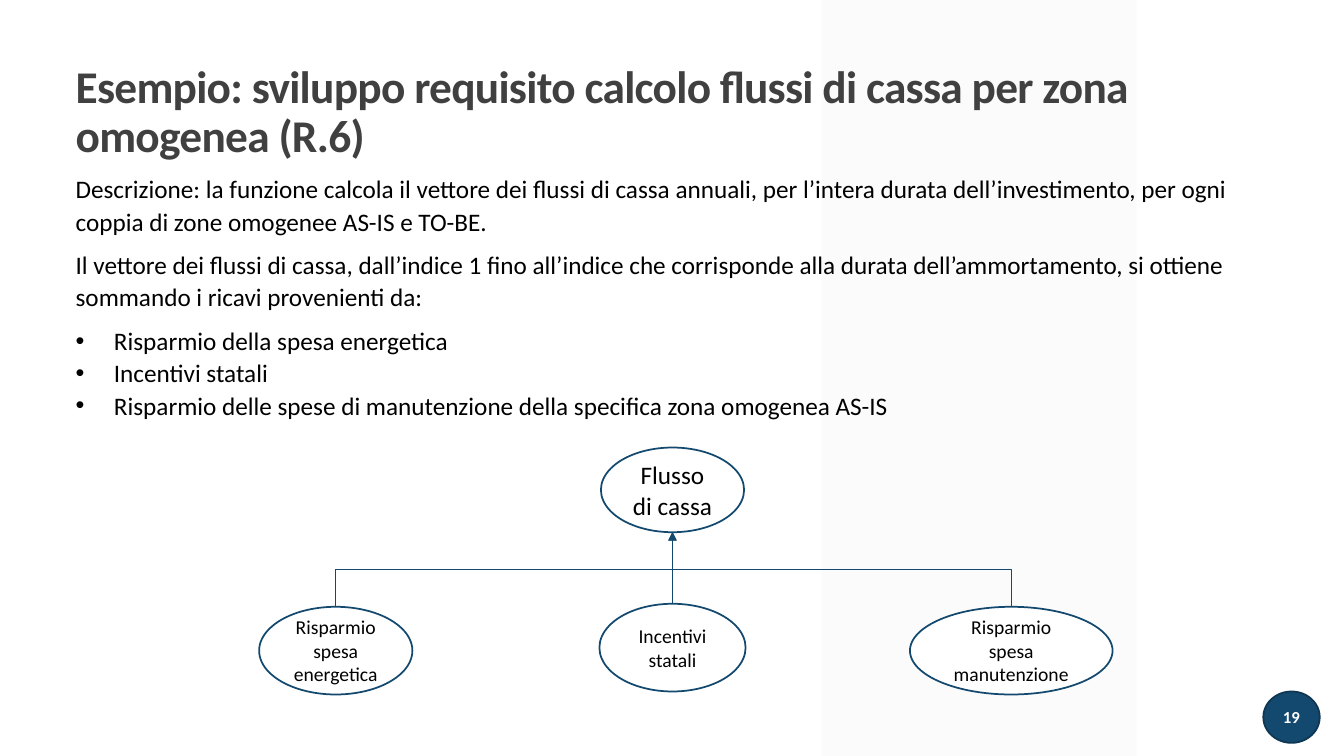
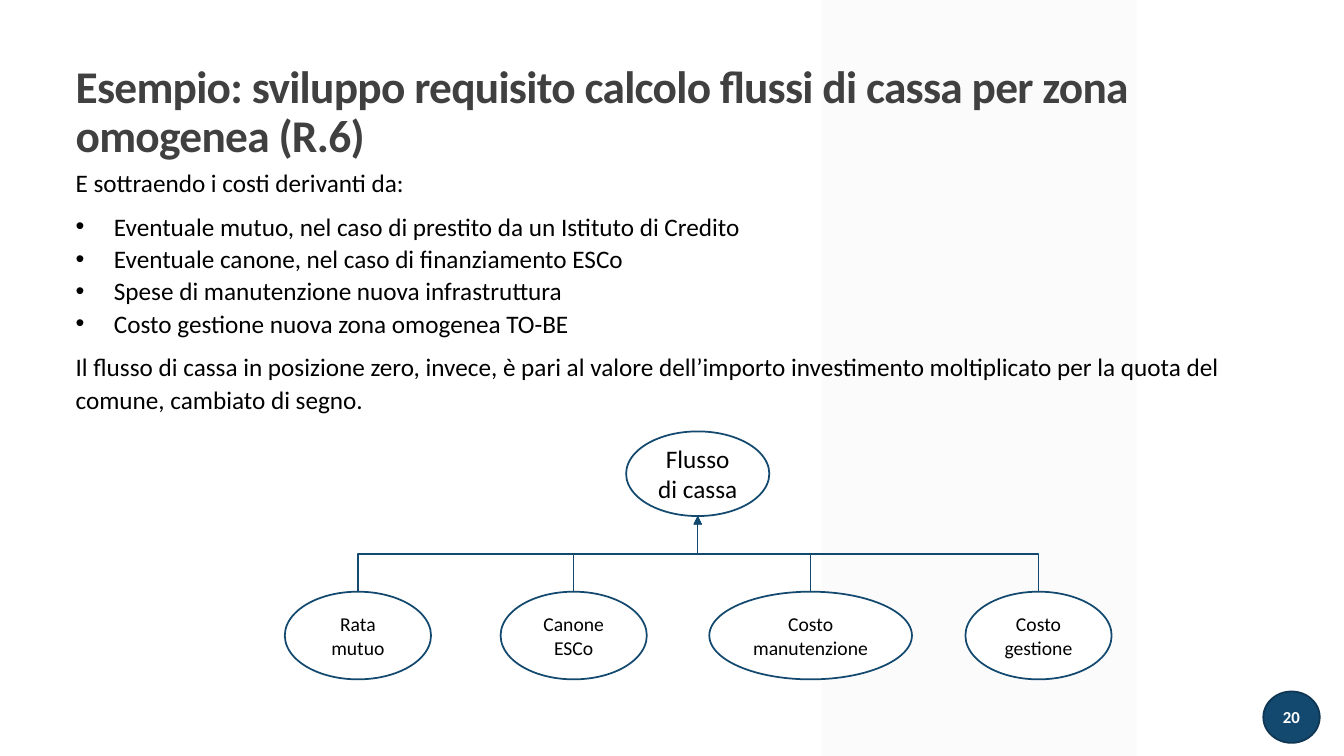
import pptx
import pptx.util
import pptx.dml.color
import pptx.enum.shapes
import pptx.enum.text
import pptx.oxml
import pptx.oxml.ns

Inches = pptx.util.Inches
Pt = pptx.util.Pt
Shape = pptx.enum.shapes.MSO_SHAPE
Link = pptx.enum.shapes.MSO_CONNECTOR
Align = pptx.enum.text.PP_ALIGN
Anchor = pptx.enum.text.MSO_ANCHOR
qn = pptx.oxml.ns.qn

FONT = "Calibri"
COLORS = {
    "white": "FFFFFF", "black": "000000", "title": "404040",
    "band": "F2F2F2", "blue": "14496F", "edge": "0F3652",
}
TITLE = "Esempio: sviluppo requisito calcolo flussi di cassa per zona omogenea (R.6)"
ROOT = "Flusso di cassa"


def rgb(name):
    return pptx.dml.color.RGBColor.from_string(COLORS[name])


def add_xml(parent, tag, **attrs):
    node = pptx.oxml.parse_xml(f"<a:{tag} {pptx.oxml.ns.nsdecls('a')}/>")
    for key, value in attrs.items():
        node.set(key, value)
    parent.append(node)
    return node


class Deck:
    def __init__(self):
        self.prs = pptx.Presentation()
        self.prs.slide_width = Inches(13.33)
        self.prs.slide_height = Inches(7.5)
        self.layout = self.prs.slide_layouts[1]
        self.slide = None

    def start(self, number):
        first = self.slide is None
        self.slide = self.prs.slides.add_slide(self.layout)
        if first:
            self.band()
        self.title()
        self.badge(number)

    def band(self):
        """Put the pale stripe on the layout, behind every slide that uses it."""
        band = self.shape(Shape.RECTANGLE, 8.15, 0, 3.12, 7.5, "band")
        color = band.element.spPr.find(qn("a:solidFill"))[0]
        add_xml(color, "alpha", val="30000")
        band.element.nvSpPr.cNvPr.set("id", "90")
        self.layout.placeholders[0].element.addprevious(band.element)

    def shape(self, kind, x, y, w, h, fill, edge=None):
        item = self.slide.shapes.add_shape(
            kind, Inches(x), Inches(y), Inches(w), Inches(h))
        item.shadow.inherit = False
        item.fill.solid()
        item.fill.fore_color.rgb = rgb(fill)
        if edge:
            item.line.color.rgb = rgb(edge)
            item.line.width = Pt(1.25)
        else:
            item.line.fill.background()
        return item

    def run(self, para, text, size, color="black", bold=False):
        run = para.add_run()
        run.text = text
        run.font.name = FONT
        run.font.size = Pt(size)
        run.font.bold = bold
        run.font.color.rgb = rgb(color)
        return run

    def label(self, item, text, size, color="black", bold=False):
        frame = item.text_frame
        frame.word_wrap = True
        frame.vertical_anchor = Anchor.MIDDLE
        para = frame.paragraphs[0]
        para.alignment = Align.CENTER
        self.run(para, text, size, color, bold)

    def place(self, item, x, y, w, h, anchor):
        item.left, item.top = Inches(x), Inches(y)
        item.width, item.height = Inches(w), Inches(h)
        frame = item.text_frame
        frame.word_wrap = True
        frame.auto_size = pptx.enum.text.MSO_AUTO_SIZE.NONE
        frame.vertical_anchor = anchor
        return frame

    def title(self):
        frame = self.place(self.slide.shapes.title, 0.65, 0.59, 11.55, 1.06,
                           Anchor.MIDDLE)
        para = frame.paragraphs[0]
        para.alignment = Align.LEFT
        para.line_spacing = 0.9
        run = self.run(para, TITLE, 32.4, "title", True)
        run.font.element.set("spc", "-50") if hasattr(run.font, "element") \
            else run.text and para.runs[0]._r.get_or_add_rPr().set("spc", "-50")

    def badge(self, number):
        dot = self.shape(Shape.FLOWCHART_CONNECTOR, 12.53, 6.86, 0.56, 0.51,
                         "blue", "edge")
        self.label(dot, str(number), 12, "white", True)

    def body(self, top, items):
        """Write strings as paragraphs and tuples of strings as bullet lists."""
        frame = self.place(self.slide.placeholders[1], 0.65, top, 12.27, 3.01,
                           Anchor.TOP)
        lines = []
        for item in items:
            if isinstance(item, tuple):
                lines += [(text, True, text == item[-1]) for text in item]
            else:
                lines.append((item, False, True))
        for i, (text, bullet, last) in enumerate(lines):
            para = frame.add_paragraph() if i else frame.paragraphs[0]
            props = para._p.get_or_add_pPr()
            indent = Inches(0.38) if bullet else 0
            props.set("marL", str(indent))
            props.set("indent", str(-indent))
            if bullet:
                add_xml(props, "buFont", typeface="Arial")
                add_xml(props, "buChar", char="•")
            else:
                add_xml(props, "buNone")
            para.line_spacing = 1.07
            para.space_before = Pt(0)
            para.space_after = Pt(8 if last else 0)
            self.run(para, text, 18)

    def node(self, text, mid, top, width, height, size):
        oval = self.shape(Shape.OVAL, mid - width / 2, top, width, height,
                          "white", "blue")
        self.label(oval, text, size)
        return oval

    def arrow(self, x1, y1, x2, y2):
        """Link upwards, with a turn halfway unless both ends are aligned."""
        if x1 == x2:
            kind, turn = Link.STRAIGHT, 0
            ends = (x1, y1, x2, y2)
        else:
            # The elbow starts sideways, so lay it flat and rotate it.
            kind, turn = Link.ELBOW, 90 if x1 < x2 else 270
            mx, my = (x1 + x2) / 2, (y1 + y2) / 2
            dx, dy = (y1 - y2) / 2, abs(x1 - x2) / 2
            if turn == 270:
                dx = -dx
            ends = (mx + dx, my + dy, mx - dx, my - dy)
        line = self.slide.shapes.add_connector(kind, *map(Inches, ends))
        line.line.color.rgb = rgb("blue")
        line.line.width = Pt(1)
        props = line.element.spPr
        if turn:
            props.find(qn("a:xfrm")).set("rot", str(turn * 60000))
        add_xml(props.find(qn("a:ln")), "tailEnd", type="triangle")
        add_xml(props, "effectLst")
        return line

    def tree(self, mid, top, leaves):
        """Draw the root and its leaves, given as (text, centre, top, width)."""
        high = 0.84
        self.node(ROOT, mid, top, 1.42, high, 18)
        for text, x, y, width in leaves:
            leaf = self.node(text, x, y, width, 0.87, 14)
            line = self.arrow(x, y, mid, top + high)
            if x == mid:
                line.begin_connect(leaf, 0)

    def save(self):
        self.prs.save("out.pptx")


def main():
    deck = Deck()

    deck.start(19)
    deck.body(1.65, [
        "Descrizione: la funzione calcola il vettore dei flussi di cassa annuali, "
        "per l’intera durata dell’investimento, per ogni coppia di zone omogenee "
        "AS-IS e TO-BE.",
        "Il vettore dei flussi di cassa, dall’indice 1 fino all’indice che "
        "corrisponde alla durata dell’ammortamento, si ottiene sommando i ricavi "
        "provenienti da:",
        ("Risparmio della spesa energetica",
         "Incentivi statali",
         "Risparmio delle spese di manutenzione della specifica zona omogenea AS-IS"),
    ])
    deck.tree(6.67, 4.44, [
        ("Risparmio spesa energetica", 3.33, 6.02, 1.52),
        ("Incentivi statali", 6.67, 5.99, 1.45),
        ("Risparmio spesa manutenzione", 10.03, 6.02, 2.01),
    ])

    deck.start(20)
    deck.body(1.59, [
        "E sottraendo i costi derivanti da:",
        ("Eventuale mutuo, nel caso di prestito da un Istituto di Credito",
         "Eventuale canone, nel caso di finanziamento ESCo",
         "Spese di manutenzione nuova infrastruttura",
         "Costo gestione nuova zona omogenea TO-BE"),
        "Il flusso di cassa in posizione zero, invece, è pari al valore "
        "dell’importo investimento moltiplicato per la quota del comune, cambiato "
        "di segno.",
    ])
    row = 5.87
    deck.tree(6.92, 4.28, [
        ("Rata mutuo", 3.55, row, 1.45),
        ("Canone ESCo", 5.69, row, 1.45),
        ("Costo manutenzione", 8.04, row, 2.01),
        ("Costo gestione", 10.3, row, 1.45),
    ])

    deck.save()


if __name__ == "__main__":
    main()
